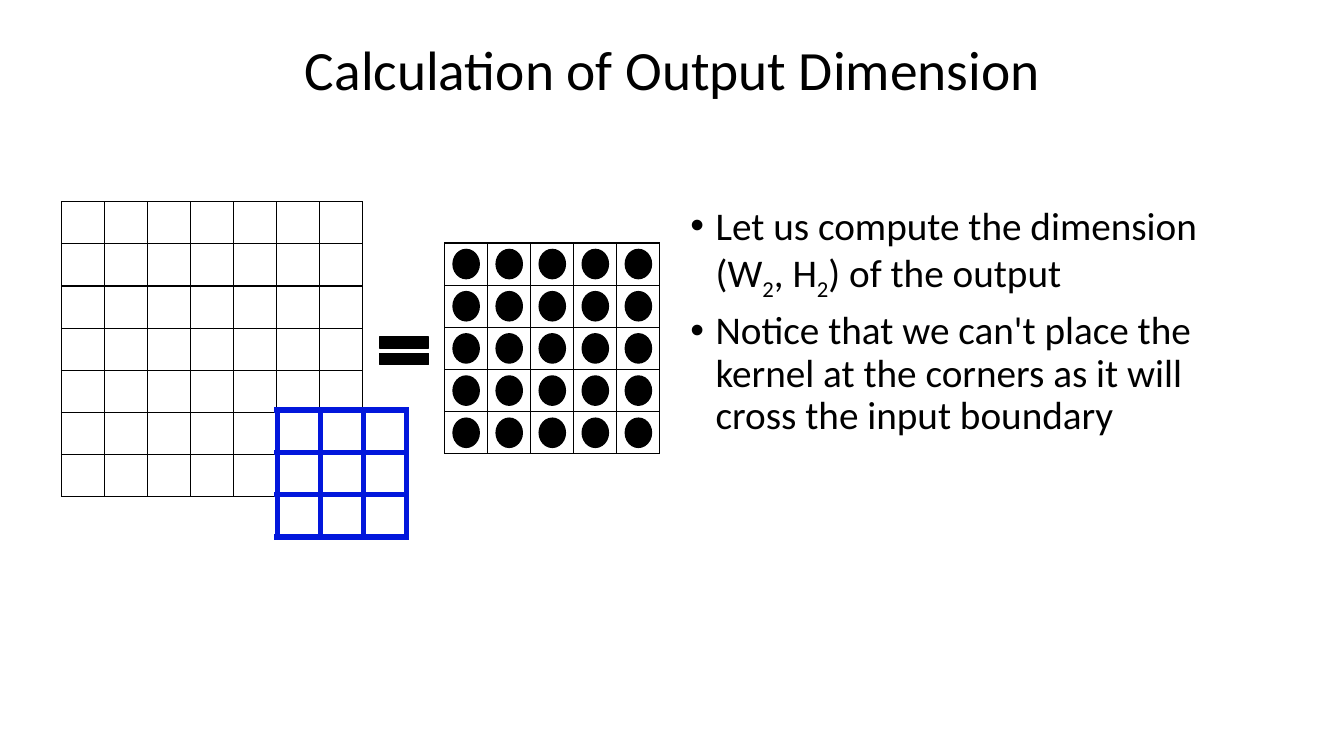
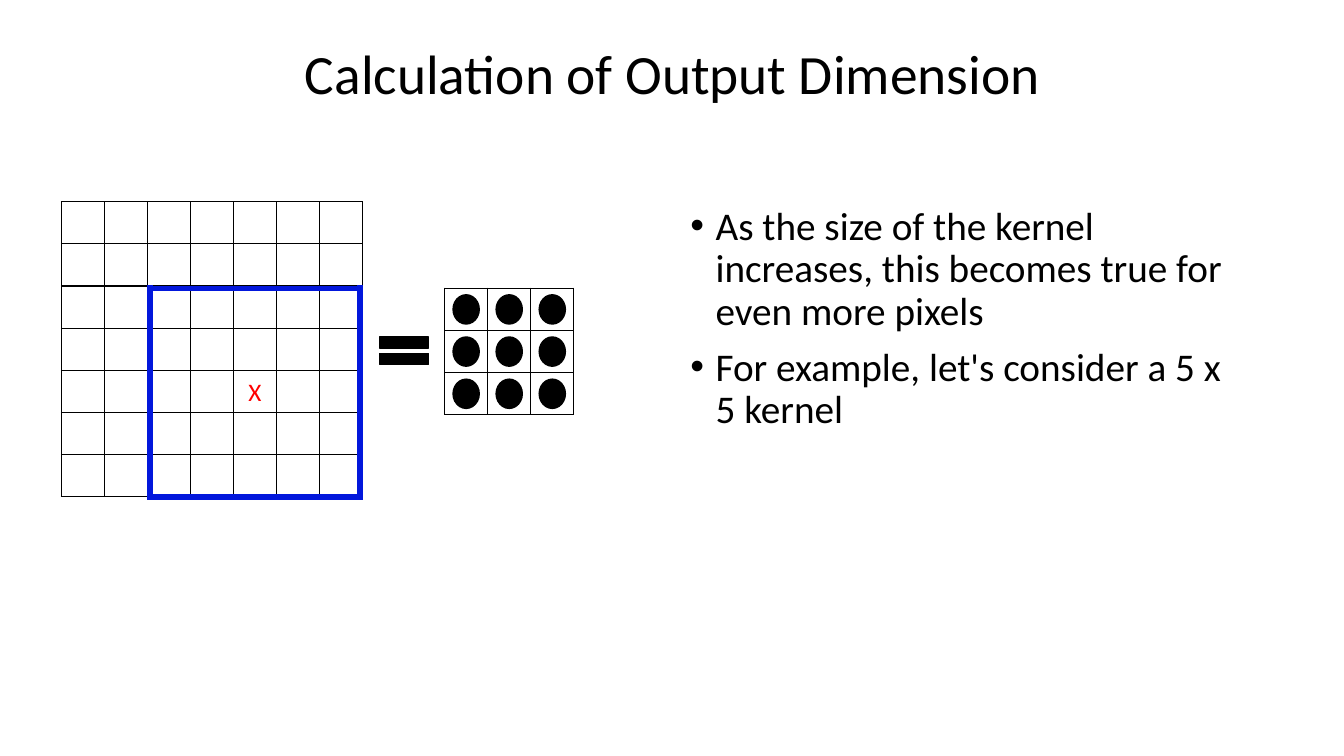
from dataclasses import dataclass

from lxml.etree import SubElement
from pptx import Presentation
from pptx.dml.color import RGBColor
from pptx.enum.shapes import MSO_SHAPE
from pptx.enum.text import MSO_ANCHOR, PP_ALIGN
from pptx.oxml.ns import qn
from pptx.util import Inches, Pt


@dataclass(frozen=True)
class Theme:
    font: str = "Calibri"
    ink: str = "000000"
    kernel: str = "0217DC"
    mark: str = "FF0000"
    title_size: float = 39.6
    body_size: float = 28
    mark_size: float = 18
    thin: float = 1
    thick: float = 4.5


THEME = Theme()

# The input is 7 x 7; output and kernel share its cell size
INPUT_CELLS = 7
CELL_W = Inches(2.99) // INPUT_CELLS
CELL_H = Inches(2.93) // INPUT_CELLS
DOT_W, DOT_H = Inches(0.26), Inches(0.29)
OUTPUT_LEFT = 4.41
TITLE = "Calculation of Output Dimension"


def add_run(paragraph, text, size, color=THEME.ink, subscript=False):
    run = paragraph.add_run()
    run.text = text
    run.font.name = THEME.font
    run.font.size = Pt(size)
    run.font.color.rgb = RGBColor.from_string(color)
    if subscript:
        run._r.get_or_add_rPr().set("baseline", "-25000")


def add_text_frame(slide, left, top, width, height):
    box = slide.shapes.add_textbox(*map(Inches, (left, top, width, height)))
    box.text_frame.word_wrap = True
    return box.text_frame


def add_title(slide, height):
    frame = add_text_frame(slide, 0.92, 0.4, 11.5, height)
    frame.vertical_anchor = MSO_ANCHOR.MIDDLE
    heading = frame.paragraphs[0]
    heading.alignment = PP_ALIGN.CENTER
    heading.line_spacing = 0.9
    add_run(heading, TITLE, THEME.title_size)


def add_bullets(slide, bullets):
    """Each bullet is a list of (text, is_subscript) parts."""
    frame = add_text_frame(slide, 6.75, 2, 5.67, 4.76)
    for index, parts in enumerate(bullets):
        point = frame.add_paragraph() if index else frame.paragraphs[0]
        props = point._p.get_or_add_pPr()
        props.set("marL", str(Inches(0.25)))
        props.set("indent", str(-Inches(0.25)))
        SubElement(props, qn("a:buFont")).set("typeface", "Arial")
        SubElement(props, qn("a:buChar")).set("char", "•")
        point.line_spacing = 0.9
        if index:
            point.space_before = Pt(10)
        for text, subscript in parts:
            add_run(point, text, THEME.body_size, subscript=subscript)


def set_borders(cell, drawn, color, weight):
    """Draw the named sides (L, R, T, B) and clear the others."""
    props = cell._tc.get_or_add_tcPr()
    for side in "LRTB":
        line = SubElement(props, qn(f"a:ln{side}"), w=str(Pt(weight)))
        if side in drawn:
            fill = SubElement(line, qn("a:solidFill"))
            SubElement(fill, qn("a:srgbClr"), val=color)
        else:
            SubElement(line, qn("a:noFill"))


def add_grid(slide, left, top, count, color=THEME.ink, weight=THEME.thin,
             outline_only=False, cell_w=CELL_W, cell_h=CELL_H):
    table = slide.shapes.add_table(
        count, count, Inches(left), Inches(top),
        cell_w * count, cell_h * count).table
    table.first_row = table.horz_banding = False
    for column in table.columns:
        column.width = cell_w
    last = count - 1
    for r, row in enumerate(table.rows):
        row.height = cell_h
        for c, cell in enumerate(row.cells):
            edges = {"L": c == 0, "R": c == last, "T": r == 0, "B": r == last}
            drawn = [side for side, outer in edges.items()
                     if outer or not outline_only]
            set_borders(cell, drawn, color, weight)
            cell.fill.background()
    return table


def add_solid(slide, kind, left, top, width, height):
    solid = slide.shapes.add_shape(kind, left, top, width, height)
    solid.shadow.inherit = False
    ink = RGBColor.from_string(THEME.ink)
    solid.fill.solid()
    solid.fill.fore_color.rgb = ink
    solid.line.color.rgb = ink
    solid.line.width = Pt(THEME.thin)


def add_dots(slide, top, count):
    """Centre one dot in every cell of the output grid."""
    first_left = Inches(OUTPUT_LEFT) + (CELL_W - DOT_W) // 2
    first_top = Inches(top) + (CELL_H - DOT_H) // 2
    for r in range(count):
        for c in range(count):
            add_solid(slide, MSO_SHAPE.OVAL, first_left + c * CELL_W,
                      first_top + r * CELL_H, DOT_W, DOT_H)


def add_convolution_slide(prs, title_height, bullets, output_top, output_count):
    """Title, input grid, equals sign, empty output grid and bullets."""
    slide = prs.slides.add_slide(prs.slide_layouts[6])
    add_title(slide, title_height)
    add_grid(slide, 0.61, 2, INPUT_CELLS)
    add_bullets(slide, bullets)
    add_grid(slide, OUTPUT_LEFT, output_top, output_count)
    add_dots(slide, output_top, output_count)
    add_solid(slide, MSO_SHAPE.MATH_EQUAL,
              *map(Inches, (3.68, 3.25, 0.66, 0.46)))
    return slide


def build_corner_slide(prs):
    slide = add_convolution_slide(prs, 0.64, [
        [("Let us compute the dimension (W", False), ("2", True),
         (", H", False), ("2", True), (") of the output", False)],
        [("Notice that we can't place the kernel at the corners as it will "
          "cross the input boundary", False)],
    ], output_top=2.41, output_count=5)
    # 3 x 3 kernel hanging over the input corner
    add_grid(slide, 2.75, 4.07, 3, THEME.kernel, THEME.thick)


def build_large_kernel_slide(prs):
    slide = add_convolution_slide(prs, 0.72, [
        [("As the size of the kernel increases, this becomes true for even "
          "more pixels", False)],
        [("For example, let's consider a 5 x 5 kernel", False)],
    ], output_top=2.86, output_count=3)
    # 5 x 5 kernel with its centre pixel marked
    kernel = add_grid(slide, 1.49, 2.86, 5, THEME.kernel, THEME.thick,
                      outline_only=True, cell_w=Inches(2.08) // 5,
                      cell_h=Inches(2.07) // 5)
    centre = kernel.cell(2, 2)
    centre.vertical_anchor = MSO_ANCHOR.MIDDLE
    label = centre.text_frame.paragraphs[0]
    label.alignment = PP_ALIGN.CENTER
    add_run(label, "X", THEME.mark_size, THEME.mark)


def main():
    prs = Presentation()
    prs.slide_width, prs.slide_height = Inches(13.33), Inches(7.5)
    build_corner_slide(prs)
    build_large_kernel_slide(prs)
    prs.save("out.pptx")


if __name__ == "__main__":
    main()
